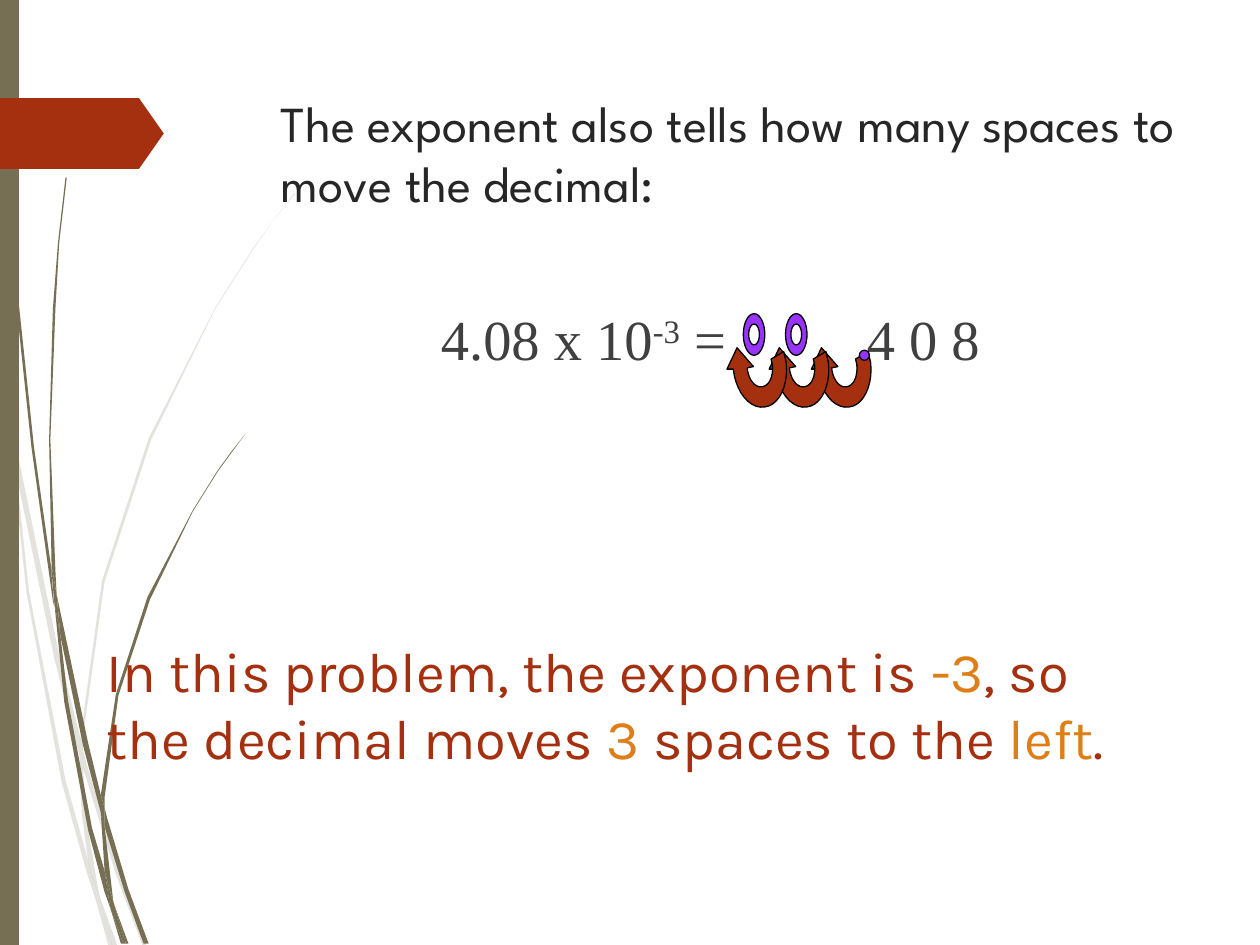
from math import cos, pi, sin

from pptx import Presentation
from pptx.dml.color import RGBColor
from pptx.enum.shapes import MSO_SHAPE as SHAPE
from pptx.enum.text import MSO_ANCHOR as ANCHOR, PP_ALIGN as ALIGN
from pptx.oxml.ns import qn
from pptx.util import Inches, Pt
from lxml.etree import SubElement

OLIVE, RUST, ORANGE, PURPLE = "766F54", "A53010", "DE7E18", "9933FF"
HOP = 0.335

FAINT_WISPS = [
    "8,350 6,322 0,282 0,299 8,344",
    "43,522 63,599 64,586 47,520 11,345 13,376",
    "69,607 66,596 66,610 92,694 113,750 116,750 95,692",
    "89,750 93,750 79,711",
    "70,683 52,619 23,469 13,376 8,350 21,470 49,621 69,693 76,714 74,707",
    "63,599 65,646 70,683 72,692 79,711 78,706 68,646 66,610 66,608",
    "66,584 83,462 120,349 171,245 201,198 217,175 234,154 234,153 217,175 "
    "201,197 171,244 118,348 81,461 64,584 64,586 66,596",
    "76,714 86,750 89,750",
    "66,608 66,610 66,596 64,586 63,599",
    "72,692 70,683 74,707 76,714 89,750 79,711",
]
DARK_WISPS = [
    "5,110 12,233 25,355 42,477 43,481 41,457 41,453 27,355 14,232 6,109 3,48 3,0 2,0 3,48",
    "66,592 80,645 80,633 80,631 70,590 45,472 48,505",
    "85,649 83,641 83,656 99,708 114,749 118,749 102,706",
    "83,691 73,657 54,556 48,505 43,477 51,557 70,659 83,708 88,722 87,717",
    "45,472 44,453 40,349 44,245 47,193 53,141 52,141 46,193 42,245 39,349 41,449",
    "100,749 102,749 91,719",
    "43,477 48,505 45,472 41,449 41,453",
    "83,633 94,552 119,476 153,406 173,374 184,359 195,344 184,358 173,373 "
    "153,405 117,474 92,551 80,631 83,641",
    "88,722 96,749 98,749",
    "80,645 83,691 87,706 91,719 90,716 83,656 81,651",
    "80,645 81,651 83,656 83,641 80,631 80,633",
    "87,706 83,691 87,717 88,722 98,749 100,749 91,719",
]


def paint(sp, color, line=None, alpha=None):
    """Give a shape its fill, outline and opacity."""
    sp.shadow.inherit = False
    sp.fill.solid()
    sp.fill.fore_color.rgb = RGBColor.from_string(color)
    if alpha:
        for clr in sp.element.spPr.iter(qn("a:srgbClr")):
            SubElement(clr, qn("a:alpha")).set("val", str(alpha * 1000))
    if line:
        sp.line.color.rgb = RGBColor.from_string(line)
        sp.line.width = Pt(0.75)
    else:
        sp.line.fill.background()


def add_outline(s, contours, color, **look):
    """Draw closed contours, given in inches, as one freeform."""
    contours = [[(Inches(x), Inches(y)) for x, y in pts] for pts in contours]
    fb = s.shapes.build_freeform(*contours[0][0])
    for i, pts in enumerate(contours):
        if i:
            fb.move_to(*pts[0])
        fb.add_line_segments(pts[1:], close=True)
    paint(fb.convert_to_shape(), color, **look)


def add_preset(s, kind, x, y, w, h, color, **look):
    """Add a preset shape in inches."""
    sp = s.shapes.add_shape(kind, Inches(x), Inches(y), Inches(w), Inches(h))
    paint(sp, color, **look)
    return sp


def add_wisps(s, wisps, alpha=None):
    """Draw grass blades from points in hundredths of an inch."""
    for wisp in wisps:
        pts = [tuple(int(n) / 100 for n in pair.split(",")) for pair in wisp.split()]
        add_outline(s, [pts], OLIVE, alpha=alpha)


def curve(p0, p1, p2, p3, n=10):
    """Sample a cubic curve."""
    return [tuple((1 - t) ** 3 * a + 3 * t * (1 - t) ** 2 * b + 3 * t * t * (1 - t) * c + t ** 3 * d
                  for a, b, c, d in zip(p0, p1, p2, p3))
            for t in (i / n for i in range(n + 1))]


def add_hop(s, x):
    """Draw a curved arrow that hops one place to the left."""
    pts = (curve((0.16, 2.92), (0.17, 3.01), (0.22, 3.08), (0.28, 3.07))
           + curve((0.28, 3.07), (0.34, 3.06), (0.37, 2.98), (0.36, 2.89))
           + [(0.35, 2.85), (0.45, 2.79)]
           + curve((0.47, 2.88), (0.49, 3.06), (0.41, 3.22), (0.3, 3.23))
           + curve((0.3, 3.23), (0.18, 3.25), (0.07, 3.11), (0.05, 2.93))
           + [(0, 2.93), (0.08, 2.76), (0.21, 2.91)])
    add_outline(s, [[(x + px, py) for px, py in pts]], RUST, line="000000")


def add_zero(s, x, y, w=0.17, h=0.33):
    """Draw a ring shaped like a zero."""
    angles = [i * pi / 20 for i in range(40)]
    rings = [[(x + w / 2 * (1 + k * cos(a)), y + h / 2 * (1 + k * sin(a))) for a in angles]
             for k in (1, 0.5)]
    add_outline(s, rings, PURPLE, line="000000")


def add_run(p, text, size, font, color, baseline=None):
    """Append formatted text to a paragraph."""
    r = p.add_run()
    r.text = text
    r.font.size, r.font.name = Pt(size), font
    r.font.color.rgb = RGBColor.from_string(color)
    if baseline:
        r.font._element.set("baseline", str(baseline * 1000))


def place(sp, x, y, w, h):
    """Position a text shape and return its first paragraph."""
    sp.left, sp.top, sp.width, sp.height = map(Inches, (x, y, w, h))
    tf = sp.text_frame
    tf.word_wrap, tf.vertical_anchor = True, ANCHOR.TOP
    p = tf.paragraphs[0]
    p.alignment = ALIGN.LEFT
    return p


def add_title(s, text):
    """Fill the title and bring it in front of the decoration."""
    title = s.shapes.title
    add_run(place(title, 2.13, 0.68, 7.31, 1.4), text, 28.8, "League Spartan", "262626")
    title.element.getparent().append(title.element)


def add_explanation(s):
    """Add the sentence with highlighted key words."""
    p = place(s.shapes.add_textbox(0, 0, 0, 0), 0.75, 5, 8.58, 2.5)
    parts = ["In this problem, the exponent is ", "-3", ", so the decimal moves ", "3",
             " spaces to the ", "left", "."]
    for i, part in enumerate(parts):
        add_run(p, part, 32, "Karla", ORANGE if i % 2 else RUST)


def add_equation(s):
    """Add the equation, with a tab stop after the equals sign."""
    box = s.shapes.add_textbox(0, 0, 0, 0)
    p = place(box, 2.75, 1.92, 6.5, 1.58)
    box.text_frame.margin_left, box.text_frame.margin_top = Inches(0.75), Inches(0.49)
    tabs = SubElement(p._p.get_or_add_pPr(), qn("a:tabLst"))
    tab = SubElement(tabs, qn("a:tab"))
    tab.set("pos", str(Inches(3.38)))
    tab.set("algn", "l")
    for text, baseline in [("4.08 x 10", None), ("-3", 30), (" =\t4 0 8", None)]:
        add_run(p, text, 32.3, "Times New Roman", "404040", baseline)


def main():
    """Build the slide."""
    prs = Presentation()
    prs.slide_width, prs.slide_height = Inches(10), Inches(7.5)
    s = prs.slides.add_slide(prs.slide_layouts[5])
    add_wisps(s, FAINT_WISPS, alpha=20)
    add_wisps(s, DARK_WISPS)
    add_preset(s, SHAPE.RECTANGLE, 0, 0, 0.15, 7.5, OLIVE)
    tag = add_preset(s, SHAPE.PENTAGON, 0, 0.78, 1.3, 0.56, RUST)
    tag.adjustments[0] = 0.35
    add_title(s, "The exponent also tells how many spaces to move the decimal:")
    add_explanation(s)
    add_equation(s)
    for i in (2, 1, 0):
        add_hop(s, 5.77 + i * HOP)
    for i in range(2):
        add_zero(s, 5.9 + i * HOP, 2.49)
    add_preset(s, SHAPE.OVAL, 6.82, 2.78, 0.08, 0.08, PURPLE, line="000000")
    prs.save("out.pptx")


if __name__ == "__main__":
    main()
